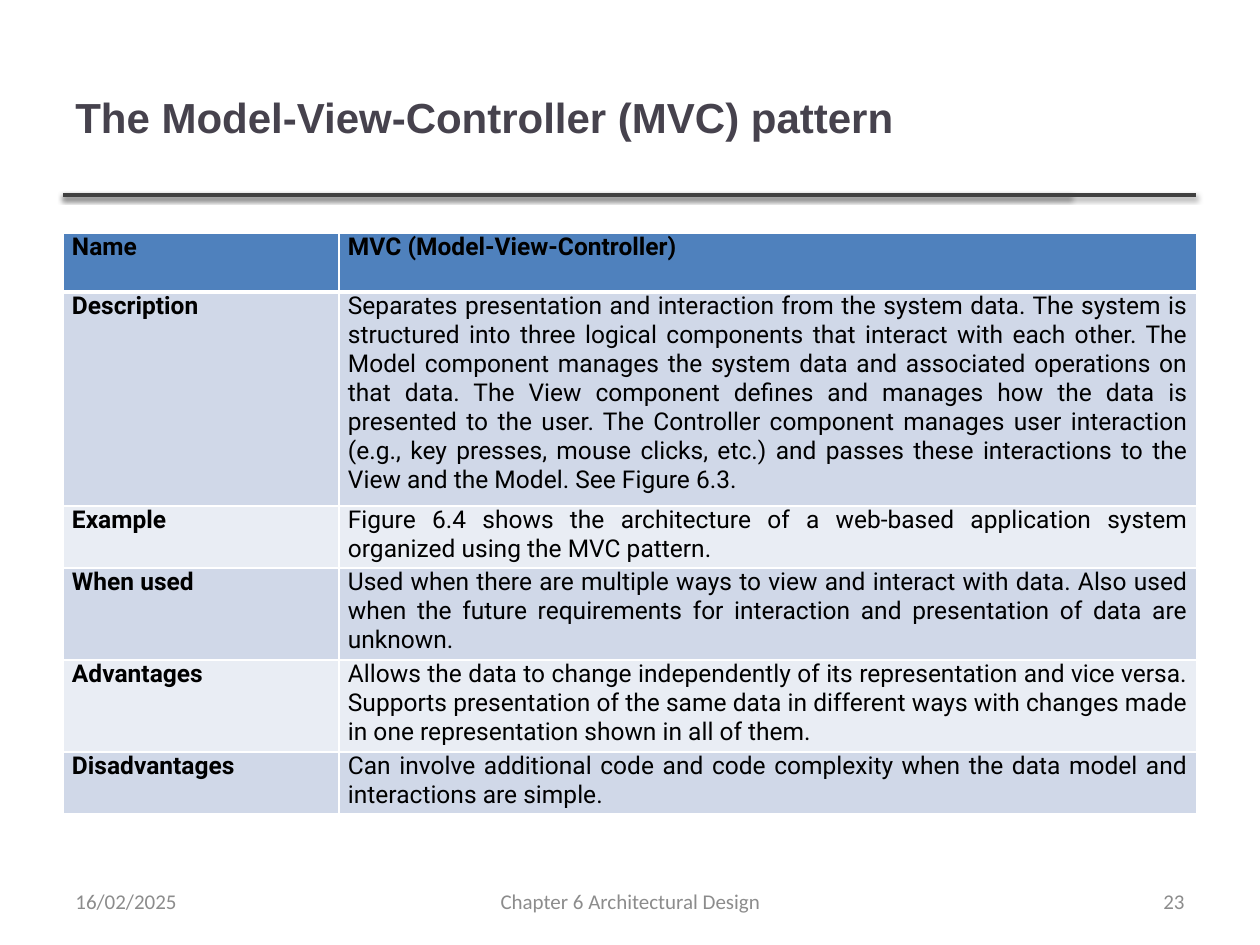
from lxml import etree
from pptx import Presentation
from pptx.dml.color import RGBColor
from pptx.enum.shapes import MSO_CONNECTOR
from pptx.enum.text import MSO_ANCHOR, PP_ALIGN
from pptx.oxml.ns import qn
from pptx.util import Emu, Pt

STRAIGHT = MSO_CONNECTOR.STRAIGHT
MIDDLE = MSO_ANCHOR.MIDDLE
LEFT, CENTER, RIGHT, JUSTIFY = (
    PP_ALIGN.LEFT, PP_ALIGN.CENTER, PP_ALIGN.RIGHT, PP_ALIGN.JUSTIFY)

PX_PER_INCH = 126
COLORS = {
    "title": "46424D",
    "rule": "404040",
    "shadow": "000000",
    "header": "4F81BD",
    "band_dark": "D0D8E8",
    "band_light": "E9EDF4",
    "border": "FFFFFF",
    "text": "000000",
    "footer": "8C8C8C",
}
TITLE_FORMAT = {"name": "Arial", "size": Pt(24), "bold": True}
FOOTER_FORMAT = {"name": "Calibri", "size": Pt(12), "bold": False}
LABEL_FORMAT = {"name": "Roboto", "size": Pt(14), "bold": True}
BODY_FORMAT = {**LABEL_FORMAT, "bold": False}

COLUMN_WIDTHS = [276, 858]
ROW_HEIGHTS = [59, 214, 62, 92, 92, 62]
TAB_STOPS = [47, 94, 141]
CELL_MARGINS = {"margin_left": 9, "margin_right": 9, "margin_top": 0, "margin_bottom": 0}
PATTERN_ROWS = [
    ("Name", "MVC (Model-View-Controller)"),
    ("Description",
     "Separates presentation and interaction from the system data. The system is "
     "structured into three logical components that interact with each other. The "
     "Model component manages the system data and associated operations on that data. "
     "The View component defines and manages how the data is presented to the user. "
     "The Controller component manages user interaction (e.g., key presses, mouse "
     "clicks, etc.) and passes these interactions to the View and the Model. "
     "See Figure 6.3."),
    ("Example",
     "Figure 6.4 shows the architecture of a web-based application system organized "
     "using the MVC pattern."),
    ("When used",
     "Used when there are multiple ways to view and interact with data. Also used when "
     "the future requirements for interaction and presentation of data are unknown."),
    ("Advantages",
     "Allows the data to change independently of its representation and vice versa. "
     "Supports presentation of the same data in different ways with changes made in one "
     "representation shown in all of them."),
    ("Disadvantages",
     "Can involve additional code and code complexity when the data model and "
     "interactions are simple."),
]
FOOTERS = [
    ("Chapter 6 Architectural Design", 431, 399, CENTER),
    ("23", 903, 294, RIGHT),
    ("16/02/2025", 63, 294, LEFT),
]


def px(length):
    return Emu(round(length * 914400 / PX_PER_INCH))


def rgb(color):
    return RGBColor.from_string(COLORS[color])


def add_element(parent, tag, **attributes):
    values = {name: str(value) for name, value in attributes.items()}
    return etree.SubElement(parent, qn(tag), values)


def write_text(paragraph, text, color, text_format, alignment):
    paragraph.alignment = alignment
    run = paragraph.add_run()
    run.text = text
    for name, value in text_format.items():
        setattr(run.font, name, value)
    run.font.color.rgb = rgb(color)


def add_label(slide, text, box, color, text_format, alignment=LEFT):
    shape = slide.shapes.add_textbox(*map(px, box))
    frame = shape.text_frame
    frame.word_wrap = True
    frame.vertical_anchor = MIDDLE
    write_text(frame.paragraphs[0], text, color, text_format, alignment)


def add_rule(slide, left, right, top):
    rule = slide.shapes.add_connector(STRAIGHT, px(left), px(top), px(right), px(top))
    rule.line.color.rgb = rgb("rule")
    rule.line.width = Pt(2)
    effects = add_element(rule._element.spPr, "a:effectLst")
    shadow = add_element(effects, "a:outerShdw", blurRad=Pt(3.1), dist=Pt(1.6),
                         dir=90 * 60000, rotWithShape=0)
    shade = add_element(shadow, "a:srgbClr", val=COLORS["shadow"])
    add_element(shade, "a:alpha", val=38000)


def set_borders(cell, top, bottom):
    properties = cell._tc.get_or_add_tcPr()
    for side, width in {"L": 1, "R": 1, "T": top, "B": bottom}.items():
        line = add_element(properties, f"a:ln{side}", w=Pt(width))
        fill = add_element(line, "a:solidFill")
        add_element(fill, "a:srgbClr", val=COLORS["border"])


def add_tab_stops(paragraph):
    tabs = add_element(paragraph._p.get_or_add_pPr(), "a:tabLst")
    for stop in TAB_STOPS:
        add_element(tabs, "a:tab", pos=px(stop), algn="l")


def fill_cell(cell, text, row, text_format):
    set_borders(cell, top=3 if row == 1 else 1, bottom=3 if row == 0 else 1)
    cell.fill.solid()
    band = "band_dark" if row % 2 else "band_light"
    cell.fill.fore_color.rgb = rgb(band if row else "header")
    for name, value in CELL_MARGINS.items():
        setattr(cell, name, px(value))
    paragraph = cell.text_frame.paragraphs[0]
    add_tab_stops(paragraph)
    write_text(paragraph, text, "text", text_format, JUSTIFY)


def add_pattern_table(slide, left, top):
    frame = slide.shapes.add_table(
        len(ROW_HEIGHTS), len(COLUMN_WIDTHS), px(left), px(top),
        px(sum(COLUMN_WIDTHS)), px(sum(ROW_HEIGHTS)))
    table = frame.table
    table.first_row = False
    table.horz_banding = False
    for column, width in zip(table.columns, COLUMN_WIDTHS):
        column.width = px(width)
    for row, height in zip(table.rows, ROW_HEIGHTS):
        row.height = px(height)
    for row, texts in enumerate(PATTERN_ROWS):
        for column, text in enumerate(texts):
            is_label = row == 0 or column == 0
            fill_cell(table.cell(row, column), text, row,
                      LABEL_FORMAT if is_label else BODY_FORMAT)


def main():
    presentation = Presentation()
    presentation.slide_width = px(1260)
    presentation.slide_height = px(945)
    slide = presentation.slides.add_slide(presentation.slide_layouts[6])
    for right in (1070, 1196):
        add_rule(slide, 63, right, 195)
    add_label(slide, "The Model-View-Controller (MVC) pattern", (63, 38, 1006, 157),
              "title", TITLE_FORMAT)
    add_pattern_table(slide, 63, 233)
    for text, left, width, alignment in FOOTERS:
        add_label(slide, text, (left, 876, width, 50), "footer", FOOTER_FORMAT, alignment)
    presentation.save("out.pptx")


if __name__ == "__main__":
    main()
